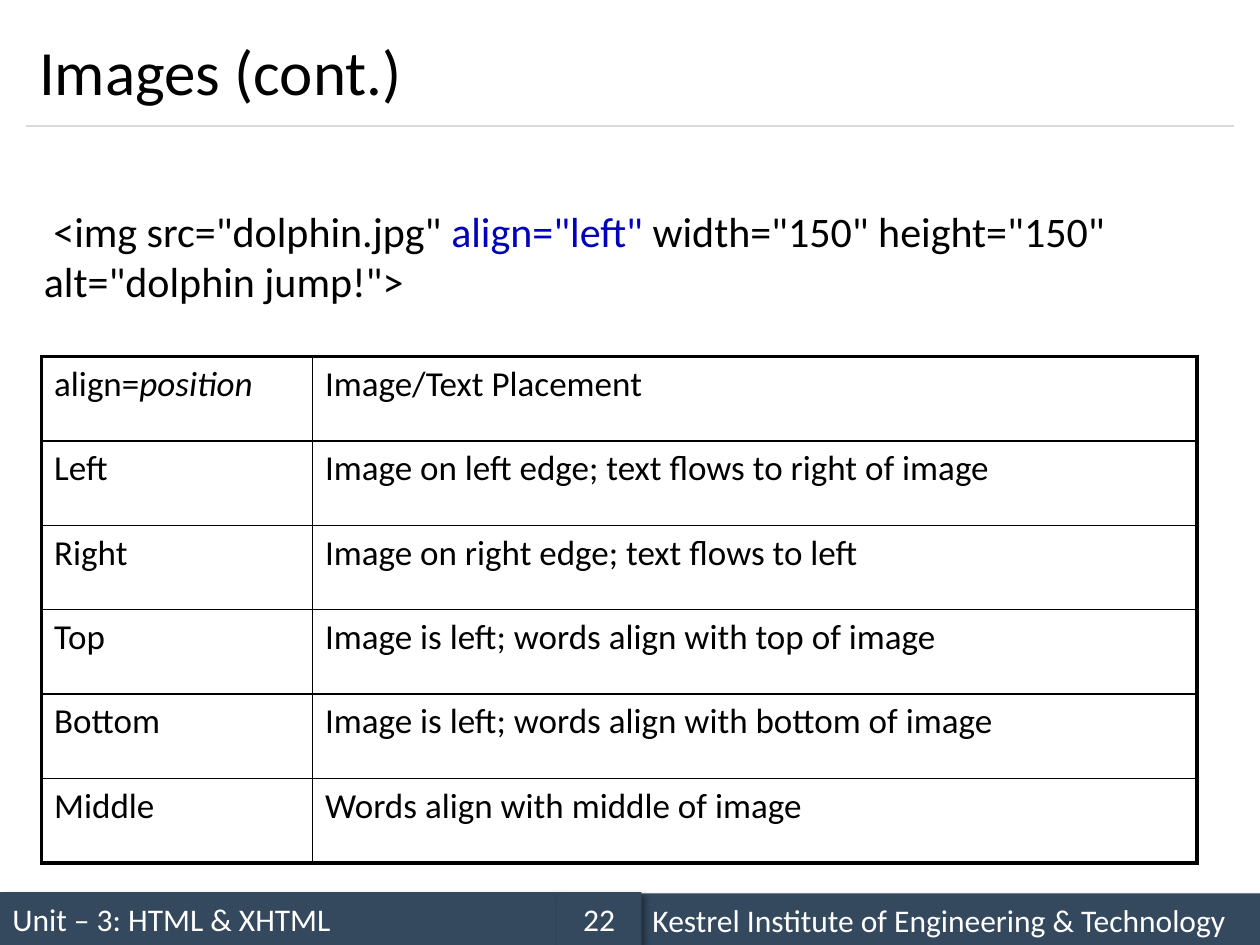
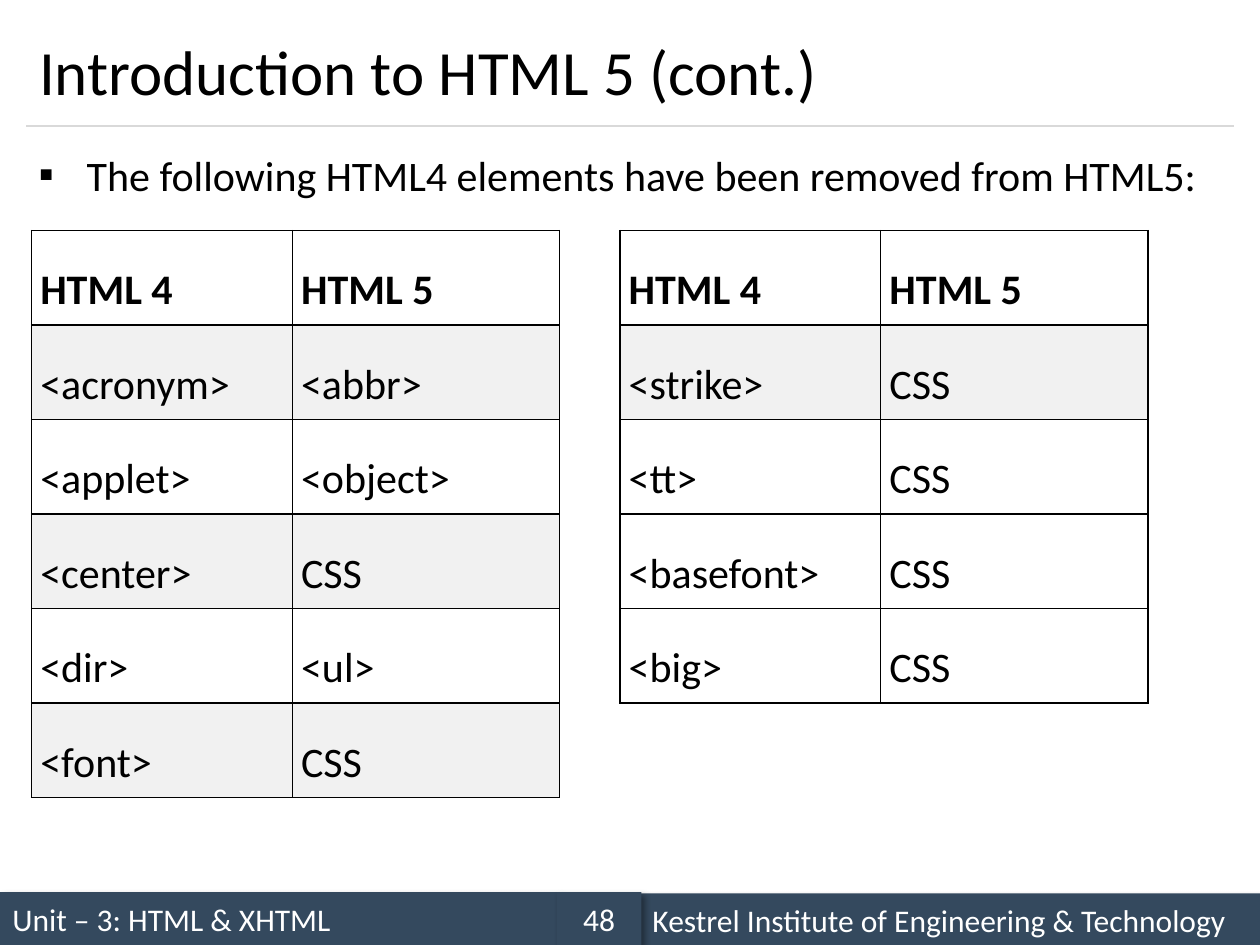
"""Builds two lecture slides on HTML image alignment and removed HTML4 elements."""
from lxml.etree import SubElement
from pptx import Presentation
from pptx.dml.color import RGBColor
from pptx.enum.shapes import MSO_CONNECTOR, MSO_SHAPE
from pptx.enum.text import MSO_ANCHOR, PP_ALIGN
from pptx.oxml.ns import qn
from pptx.util import Inches, Pt

FONT = "Calibri"
BLACK = RGBColor(0x00, 0x00, 0x00)
WHITE = RGBColor(0xFF, 0xFF, 0xFF)
SLATE = RGBColor(0x34, 0x49, 0x5E)
RULE_GRAY = RGBColor(0xD9, 0xD9, 0xD9)
CODE_BLUE = RGBColor(0x02, 0x02, 0xBE)
ROW_GRAY = RGBColor(0xF1, 0xF1, 0xF1)

UNIT = "Unit – 3: HTML & XHTML"
INSTITUTE = "Kestrel Institute of Engineering & Technology"
MARGIN, CONTENT_WIDTH = 0.21, 9.58
THIN, THICK = 1, 2.25

IMAGE_TAG = [
    (' <img src="dolphin.jpg" ', BLACK),
    ('align="left"', CODE_BLUE),
    (' width="150" height="150" alt="dolphin jump!">', BLACK),
]
ALIGN_ROWS = [
    ("align=", "Image/Text Placement"),
    ("Left", "Image on left edge; text flows to right of image"),
    ("Right", "Image on right edge; text flows to left"),
    ("Top", "Image is left; words align with top of image"),
    ("Bottom", "Image is left; words align with bottom of image"),
    ("Middle", "Words align with middle of image"),
]
REMOVED_INTRO = "The following HTML4 elements have been removed from HTML5:"
REMOVED_HEADER = ("HTML 4", "HTML 5")
REMOVED_TABLES = [
    {
        "left": 0.25,
        "shaded": (1, 3, 5),
        "rows": [
            ("<acronym>", "<abbr>"),
            ("<applet>", "<object>"),
            ("<center>", "CSS"),
            ("<dir>", "<ul>"),
            ("<font>", "CSS"),
        ],
    },
    {
        "left": 4.92,
        "shaded": (1,),
        "rows": [
            ("<strike>", "CSS"),
            ("<tt>", "CSS"),
            ("<basefont>", "CSS"),
            ("<big>", "CSS"),
        ],
    },
]


def style_run(run, size, color=BLACK, bold=False, italic=False):
    """Set the font of one run."""
    run.font.name = FONT
    run.font.size = Pt(size)
    run.font.color.rgb = color
    run.font.bold = bold
    run.font.italic = italic


def add_shadow(shape):
    """Give a shape a soft shadow to the lower right."""
    effects = SubElement(shape._element.spPr, qn("a:effectLst"))
    shadow = SubElement(effects, qn("a:outerShdw"), blurRad=str(Pt(4)), dist=str(Pt(3)),
                        dir=str(45 * 60000), algn="tl", rotWithShape="0")
    color = SubElement(shadow, qn("a:srgbClr"), val=str(BLACK))
    SubElement(color, qn("a:alpha"), val="40000")


def add_band(slide, left, top, width, text, align=PP_ALIGN.LEFT):
    """Add one part of the footer."""
    band = slide.shapes.add_shape(MSO_SHAPE.RECTANGLE, Inches(left), Inches(top),
                                  Inches(width), Inches(0.42))
    band.fill.solid()
    band.fill.fore_color.rgb = SLATE
    band.line.fill.background()
    add_shadow(band)
    text_frame = band.text_frame
    text_frame.text = text
    text_frame.vertical_anchor = MSO_ANCHOR.MIDDLE
    paragraph = text_frame.paragraphs[0]
    paragraph.alignment = align
    style_run(paragraph.runs[0], 18, WHITE)


def add_slide(presentation, title_text, number):
    """Add a slide with the shared title, rule and footer."""
    slide = presentation.slides.add_slide(presentation.slide_layouts[5])
    title = slide.shapes.title
    title.left, title.top = Inches(MARGIN), Inches(0.12)
    title.width, title.height = Inches(CONTENT_WIDTH), Inches(0.88)
    title.text_frame.text = title_text
    title.text_frame.vertical_anchor = MSO_ANCHOR.MIDDLE
    paragraph = title.text_frame.paragraphs[0]
    paragraph.alignment = PP_ALIGN.LEFT
    style_run(paragraph.runs[0], 36)

    add_band(slide, 0, 7.08, 4.42, UNIT)
    rule = slide.shapes.add_connector(MSO_CONNECTOR.STRAIGHT, Inches(MARGIN), Inches(1),
                                      Inches(MARGIN + CONTENT_WIDTH), Inches(1))
    rule.line.color.rgb = RULE_GRAY
    rule.line.width = Pt(0.75)
    SubElement(rule._element.spPr, qn("a:effectLst"))
    add_band(slide, 5.08, 7.09, 4.92, INSTITUTE)
    add_band(slide, 4.42, 7.08, 0.67, str(number), PP_ALIGN.CENTER)
    return slide


def add_text_box(slide, left, top, width, height):
    """Add a wrapping text box and return its text frame."""
    box = slide.shapes.add_textbox(Inches(left), Inches(top), Inches(width), Inches(height))
    box.text_frame.word_wrap = True
    return box.text_frame


def set_borders(cell, widths):
    """Draw black cell borders, given as widths by side."""
    properties = cell._tc.get_or_add_tcPr()
    for side in "LRTB":
        line = SubElement(properties, qn(f"a:ln{side}"), w=str(Pt(widths[side])))
        fill = SubElement(line, qn("a:solidFill"))
        SubElement(fill, qn("a:srgbClr"), val=str(BLACK))


def add_grid(slide, rows, left, top, column_widths, row_height, size, outer):
    """Add a table with thin inner borders and the given outer border."""
    row_count, column_count = len(rows), len(column_widths)
    table = slide.shapes.add_table(
        row_count, column_count, Inches(left), Inches(top),
        Inches(sum(column_widths)), Inches(row_height * row_count)).table
    table.first_row = table.horz_banding = False
    for column, width in zip(table.columns, column_widths):
        column.width = Inches(width)
    for i, row in enumerate(rows):
        table.rows[i].height = Inches(row_height)
        for j, text in enumerate(row):
            cell = table.cell(i, j)
            cell.text_frame.text = text
            style_run(cell.text_frame.paragraphs[0].runs[0], size)
            on_edge = {"L": j == 0, "R": j == column_count - 1,
                       "T": i == 0, "B": i == row_count - 1}
            set_borders(cell, {side: outer if edge else THIN
                               for side, edge in on_edge.items()})
            cell.fill.background()
    return table


def add_removed_table(slide, left, shaded, rows):
    """Add one table of removed elements and their replacements."""
    table = add_grid(slide, [REMOVED_HEADER] + rows, left, 1.83, (2.07, 2.12), 0.75, 24, THIN)
    for i, row in enumerate(table.rows):
        for cell in row.cells:
            cell.margin_left = cell.margin_right = Inches(0.07)
            cell.margin_top = cell.margin_bottom = Inches(0.07)
            cell.fill.solid()
            cell.fill.fore_color.rgb = ROW_GRAY if i in shaded else WHITE
            paragraph = cell.text_frame.paragraphs[0]
            paragraph.line_spacing = 1.5
            paragraph.runs[0].font.bold = i == 0


def build_images_slide(presentation):
    """Build the slide on image alignment."""
    slide = add_slide(presentation, "Images (cont.)", 22)
    table = add_grid(slide, ALIGN_ROWS, 0.33, 2.83, (2.15, 7.02), 0.67, 20, THICK)
    position = table.cell(0, 0).text_frame.paragraphs[0].add_run()
    position.text = "position"
    style_run(position, 20, italic=True)

    paragraph = add_text_box(slide, 0.25, 1.58, 9.25, 0.91).paragraphs[0]
    for text, color in IMAGE_TAG:
        run = paragraph.add_run()
        run.text = text
        style_run(run, 24, color)


def build_removed_slide(presentation):
    """Build the slide on elements removed from HTML5."""
    slide = add_slide(presentation, "Introduction to HTML 5 (cont.)", 48)
    text_frame = add_text_box(slide, MARGIN, 1.08, CONTENT_WIDTH, 0.65)
    text_frame.text = REMOVED_INTRO
    paragraph = text_frame.paragraphs[0]
    paragraph.line_spacing = 1.14
    style_run(paragraph.runs[0], 24)
    properties = paragraph._p.get_or_add_pPr()
    properties.set("marL", str(Inches(0.38)))
    properties.set("indent", str(-Inches(0.38)))
    SubElement(properties, qn("a:buFont"), typeface=FONT)
    SubElement(properties, qn("a:buChar"), char="▪")
    for removed in REMOVED_TABLES:
        add_removed_table(slide, **removed)


def main():
    """Build and save the presentation."""
    presentation = Presentation()
    presentation.slide_width, presentation.slide_height = Inches(10), Inches(7.5)
    build_images_slide(presentation)
    build_removed_slide(presentation)
    presentation.save("out.pptx")


if __name__ == "__main__":
    main()
